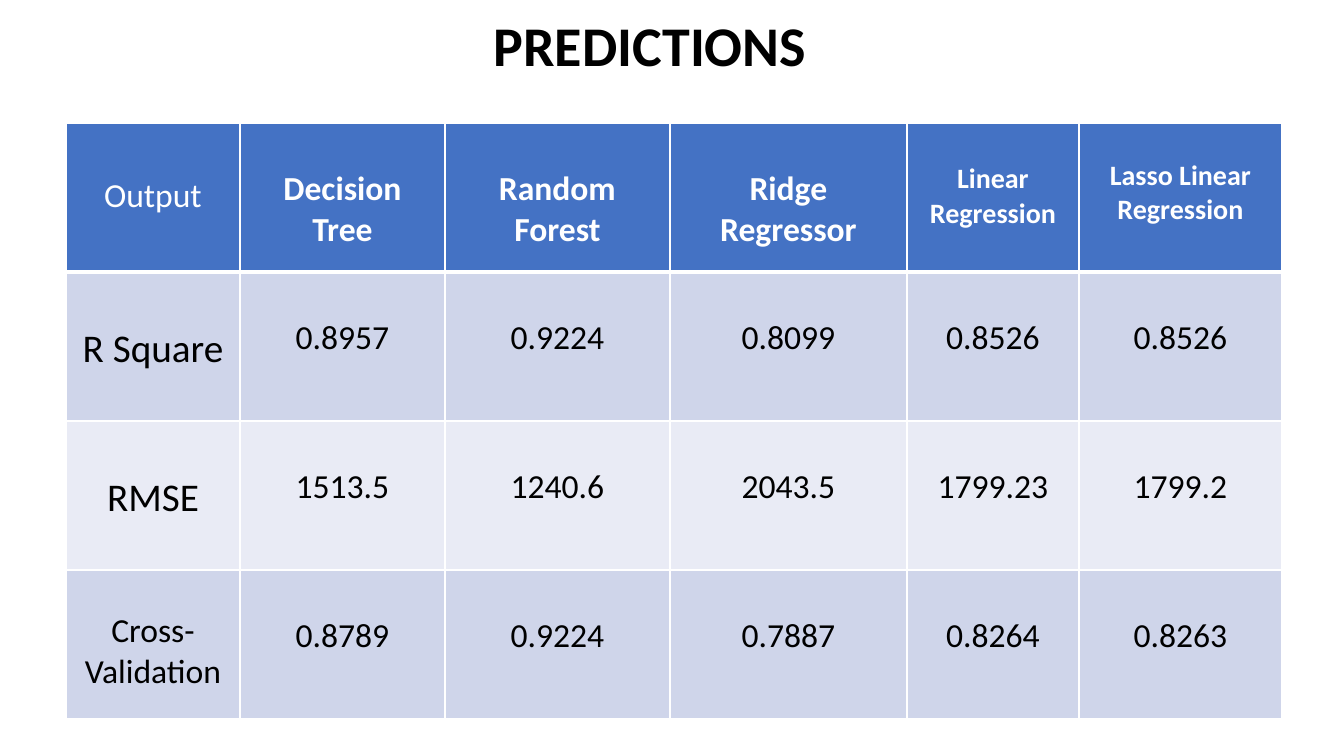
from dataclasses import dataclass

from lxml.etree import SubElement
from pptx import Presentation
from pptx.dml.color import RGBColor as Color
from pptx.enum.text import MSO_ANCHOR as Anchor, PP_ALIGN as Align
from pptx.oxml.ns import qn
from pptx.util import Emu, Pt

EMU_PER_PIXEL = 914400 / 100.8
LINE_PIXELS = 1.708  # height of one text line, per point of type
PADDING = 5


@dataclass(frozen=True)
class Theme:
    font: str = "Calibri"
    black: str = "000000"
    white: str = "FFFFFF"
    header: str = "4472C4"
    bands: tuple = ("CFD5EA", "E9EBF5")
    title_size: int = 40
    label_size: int = 28
    body_size: int = 24
    small_size: int = 20
    thin: int = 1
    thick: int = 3


THEME = Theme()
COLUMN_WIDTHS = (174, 205, 225, 237, 172, 203)
ROW_HEIGHT = 149

# Header entries: text, type size, size of the line left free above, bold
HEADERS = (
    ("Output", THEME.body_size, 28, False),
    ("Decision Tree", THEME.body_size, 24, True),
    ("Random Forest", THEME.body_size, 24, True),
    ("Ridge Regressor", THEME.body_size, 24, True),
    ("Linear Regression", THEME.small_size, 20, True),
    ("Lasso Linear Regression", THEME.small_size, 18, True),
)
# Score rows: label, type size, size of the line left free above, values
SCORES = (
    ("R Square", THEME.label_size, 28,
     ("0.8957", "0.9224", "0.8099", "0.8526", "0.8526")),
    ("RMSE", THEME.label_size, 28,
     ("1513.5", "1240.6", "2043.5", "1799.23", "1799.2")),
    ("Cross-Validation", THEME.body_size, 21,
     ("0.8789", "0.9224", "0.7887", "0.8264", "0.8263")),
)


def px(pixels):
    return Emu(round(pixels * EMU_PER_PIXEL))


def write(frame, text, size=THEME.body_size, color=THEME.black, bold=False):
    frame.word_wrap = True
    para = frame.paragraphs[0]
    para.alignment = Align.CENTER
    span = para.add_run()
    span.text = text
    span.font.name = THEME.font
    span.font.size = Pt(size)
    span.font.bold = bold
    span.font.color.rgb = Color.from_string(color)


def set_borders(cell, **widths):
    properties = cell._tc.get_or_add_tcPr()
    for index, side in enumerate("LRTB"):
        width = widths.get(side, THEME.thin)
        line = SubElement(properties, qn(f"a:ln{side}"), w=str(Pt(width)))
        fill = SubElement(line, qn("a:solidFill"))
        SubElement(fill, qn("a:srgbClr"), val=THEME.white)
        properties.insert(index, line)


def fill_cell(cell, text, fill, free_line=THEME.body_size, borders=None,
              **text_format):
    cell.fill.solid()
    cell.fill.fore_color.rgb = Color.from_string(fill)
    cell.vertical_anchor = Anchor.TOP
    cell.margin_top = px(PADDING + free_line * LINE_PIXELS)
    write(cell.text_frame, text, **text_format)
    set_borders(cell, **(borders or {}))


def add_title(page, text):
    box = page.shapes.add_textbox(px(469), px(6), px(362), px(78))
    write(box.text_frame, text, size=THEME.title_size, bold=True)


def add_score_table(page):
    row_count = len(SCORES) + 1
    table = page.shapes.add_table(
        row_count, len(COLUMN_WIDTHS), px(66), px(123),
        px(sum(COLUMN_WIDTHS)), px(row_count * ROW_HEIGHT)).table
    for column, width in zip(table.columns, COLUMN_WIDTHS):
        column.width = px(width)
    for row in table.rows:
        row.height = px(ROW_HEIGHT)

    # Header row
    for column, (text, size, free_line, bold) in enumerate(HEADERS):
        fill_cell(table.cell(0, column), text, THEME.header, free_line,
                  {"B": THEME.thick}, size=size, color=THEME.white, bold=bold)

    # Score rows with alternating bands
    for row, (label, size, free_line, values) in enumerate(SCORES, start=1):
        band = THEME.bands[(row - 1) % 2]
        borders = {"T": THEME.thick} if row == 1 else None
        fill_cell(table.cell(row, 0), label, band, free_line, borders,
                  size=size)
        for column, value in enumerate(values, start=1):
            fill_cell(table.cell(row, column), value, band, borders=borders)


def main():
    deck = Presentation()
    deck.slide_width, deck.slide_height = px(1344), px(756)
    page = deck.slides.add_slide(deck.slide_layouts[6])
    add_score_table(page)
    add_title(page, "PREDICTIONS")
    deck.save("out.pptx")


main()
